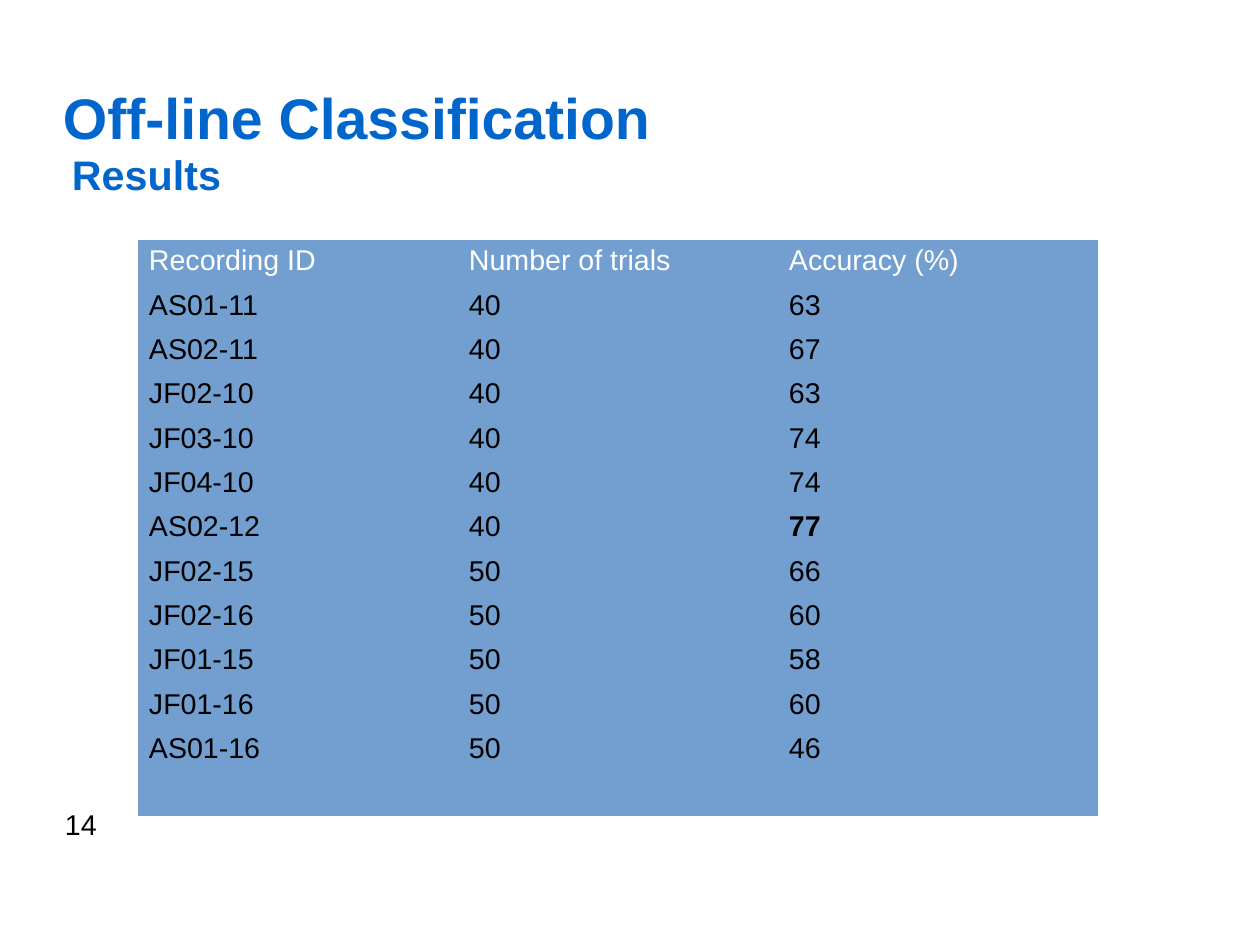
from pptx import Presentation, util as u
from pptx.dml.color import RGBColor
from pptx.enum import text

COLORS = {"title": "0066CC", "header": "FFFFFF", "body": "000000", "cell": "729FCF"}


def px(length):
    return u.Emu(length * 8000)


def write(frame, content, size=18, color="body", bold=False, margins=(0, 0),
          anchor=text.MSO_ANCHOR.TOP):
    frame.word_wrap = True
    frame.vertical_anchor = anchor
    frame.margin_left = frame.margin_right = px(margins[0])
    frame.margin_top = frame.margin_bottom = px(margins[1])
    run = frame.paragraphs[0].add_run()
    run.text = content
    run.font.name = "Arial"
    run.font.size = u.Pt(size)
    run.font.bold = bold
    run.font.color.rgb = RGBColor.from_string(COLORS[color])


presentation = Presentation()
presentation.slide_width = px(1260)
presentation.slide_height = px(945)
slide = presentation.slides.add_slide(presentation.slide_layouts[6])

number_box = slide.shapes.add_textbox(px(54), px(801), px(826), px(54))
write(number_box.text_frame, "14", margins=(11, 6))

for heading, left, top, height, size in [
    ("Off-line Classification", 63, 38, 158, 36),
    ("Results", 72, 149, 50, 26),
]:
    box = slide.shapes.add_textbox(px(left), px(top), px(1134), px(height))
    write(box.text_frame, heading, size=size, color="title", bold=True,
          anchor=text.MSO_ANCHOR.MIDDLE)

header = ("Recording ID", "Number of trials", "Accuracy (%)")
results = [
    ("AS01-11", 40, 63),
    ("AS02-11", 40, 67),
    ("JF02-10", 40, 63),
    ("JF03-10", 40, 74),
    ("JF04-10", 40, 74),
    ("AS02-12", 40, 77),
    ("JF02-15", 50, 66),
    ("JF02-16", 50, 60),
    ("JF01-15", 50, 58),
    ("JF01-16", 50, 60),
    ("AS01-16", 50, 46),
]
best = max(accuracy for recording, trials, accuracy in results)
rows = [header, *results, ("", "", "")]

table = slide.shapes.add_table(
    len(rows), len(header), px(138), px(240), px(960), px(569)).table
table.first_row = table.horz_banding = False
table._tbl.tblPr[0].text = "{2D5ABB26-0587-4C30-8999-92F81FD0307C}"

for row_index, row in enumerate(rows):
    for column_index, value in enumerate(row):
        cell = table.cell(row_index, column_index)
        cell.fill.solid()
        cell.fill.fore_color.rgb = RGBColor.from_string(COLORS["cell"])
        cell.margin_left = cell.margin_right = px(11)
        cell.margin_top = cell.margin_bottom = px(5)
        if value != "":
            write(cell.text_frame, str(value),
                  color="body" if row_index else "header",
                  bold=column_index == 2 and value == best,
                  margins=(11, 5))

presentation.save("out.pptx")
